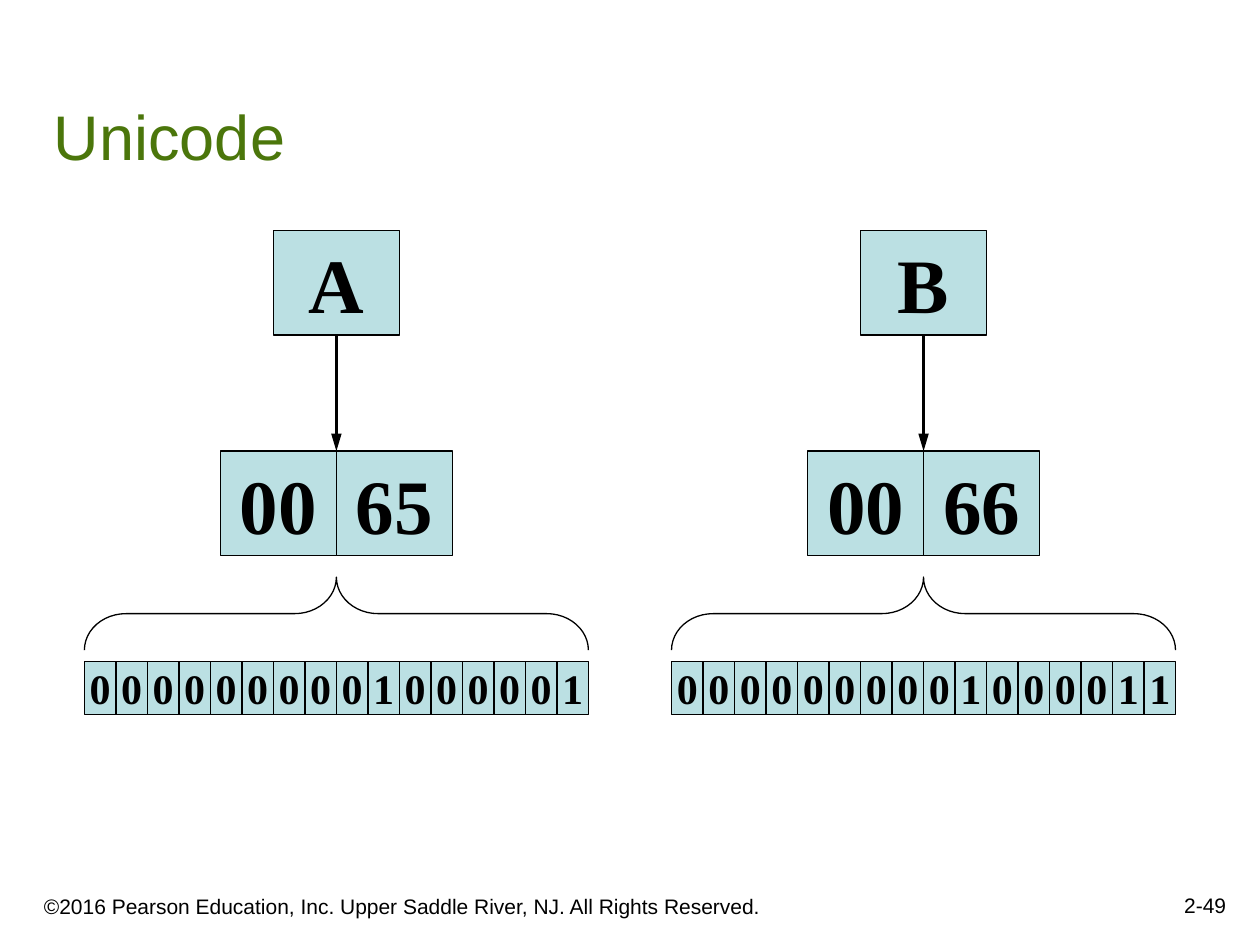
from dataclasses import dataclass

import lxml.etree
import pptx
import pptx.dml.color
import pptx.enum.shapes
import pptx.enum.text
import pptx.oxml.ns
import pptx.util

Inches = pptx.util.Inches
Pt = pptx.util.Pt
SHAPE = pptx.enum.shapes.MSO_SHAPE
ALIGN = pptx.enum.text.PP_ALIGN
ANCHOR = pptx.enum.text.MSO_ANCHOR

COLORS = {"box": "BBE0E3", "ink": "000000", "title": "4B760B"}

# Row positions shared by both encodings
CHAR_TOP, CHAR_W = 1.83, 1.0
BYTE_TOP, BYTE_W = 3.58, 0.92
BOX_H = 0.83
BRACE_TOP, BRACE_H, BRACE_W = 4.58, 0.58, 4.0
BIT_TOP, BIT_W, BIT_H = 5.25, 0.25, 0.42


@dataclass
class Encoding:
    center: float
    char: str
    code_bytes: tuple[str, ...]
    bits: str


@dataclass
class Label:
    text: str
    left: float
    top: float
    width: float
    height: float
    size: int
    color: str
    align: ALIGN


ENCODINGS = [
    Encoding(2.67, "A", ("00", "65"), "0000000001000001"),
    Encoding(7.33, "B", ("00", "66"), "0000000001000011"),
]
LABELS = [
    Label("©2016 Pearson Education, Inc. Upper Saddle River, NJ. All Rights Reserved.",
          0.25, 6.92, 6.08, 0.42, 12, "ink", ALIGN.LEFT),
    Label("2-49", 7.75, 6.83, 2.08, 0.5, 12, "ink", ALIGN.RIGHT),
    Label("Unicode", 0.33, 0.33, 9.42, 1.09, 36, "title", ALIGN.LEFT),
]


def rgb(name: str) -> pptx.dml.color.RGBColor:
    return pptx.dml.color.RGBColor.from_string(COLORS[name])


def set_text(sp, text: str, font: str, size: int, color: str, align: ALIGN,
             anchor: ANCHOR, wrap: bool, bold: bool = False) -> None:
    tf = sp.text_frame
    tf.text = text
    tf.word_wrap = wrap
    tf.vertical_anchor = anchor
    p = tf.paragraphs[0]
    p.alignment = align
    r = p.runs[0]
    r.font.name, r.font.size, r.font.bold = font, Pt(size), bold
    r.font.color.rgb = rgb(color)


def add_label(s, label: Label) -> None:
    sp = s.shapes.add_textbox(Inches(label.left), Inches(label.top),
                              Inches(label.width), Inches(label.height))
    set_text(sp, label.text, "Arial", label.size, label.color, label.align,
             ANCHOR.BOTTOM, wrap=True)


def add_box(s, text: str, left: float, top: float, width: float, height: float, size: int):
    sp = s.shapes.add_shape(SHAPE.RECTANGLE, Inches(left), Inches(top),
                            Inches(width), Inches(height))
    sp.shadow.inherit = False
    sp.fill.solid()
    sp.fill.fore_color.rgb = rgb("box")
    sp.line.color.rgb = rgb("ink")
    sp.line.width = Pt(0.75)
    set_text(sp, text, "Times New Roman", size, "ink", ALIGN.CENTER,
             ANCHOR.MIDDLE, wrap=False, bold=True)
    return sp


def add_row(s, texts, center: float, top: float, width: float, height: float, size: int) -> None:
    """Adjoining boxes, centred as a row."""
    left = center - len(texts) * width / 2
    for i, text in enumerate(texts):
        add_box(s, text, left + i * width, top, width, height, size)


def add_arrow(s, char_box, center: float) -> None:
    line = s.shapes.add_connector(pptx.enum.shapes.MSO_CONNECTOR.STRAIGHT,
                                  Inches(center), Inches(CHAR_TOP + BOX_H),
                                  Inches(center), Inches(BYTE_TOP))
    line.begin_connect(char_box, 2)
    line.line.color.rgb = rgb("ink")
    line.line.width = Pt(1.5)
    qn = pptx.oxml.ns.qn
    lxml.etree.SubElement(line.line._get_or_add_ln(), qn("a:tailEnd"),
                          type="triangle", w="med", len="lg")
    lxml.etree.SubElement(line._element.spPr, qn("a:effectLst"))


def add_brace(s, center: float) -> None:
    # The upright brace is turned so that its tip points up
    middle = BRACE_TOP + BRACE_H / 2
    sp = s.shapes.add_shape(SHAPE.RIGHT_BRACE, Inches(center - BRACE_H / 2),
                            Inches(middle - BRACE_W / 2), Inches(BRACE_H), Inches(BRACE_W))
    sp.rotation = 270
    sp.adjustments[0] = 0.57
    sp.shadow.inherit = False
    sp.fill.background()
    sp.line.color.rgb = rgb("ink")
    sp.line.width = Pt(0.75)


def add_encoding(s, enc: Encoding) -> None:
    char_box = add_box(s, enc.char, enc.center - CHAR_W / 2, CHAR_TOP, CHAR_W, BOX_H, 44)
    add_row(s, enc.code_bytes, enc.center, BYTE_TOP, BYTE_W, BOX_H, 44)
    add_arrow(s, char_box, enc.center)
    add_row(s, enc.bits, enc.center, BIT_TOP, BIT_W, BIT_H, 24)
    add_brace(s, enc.center)


def main() -> None:
    prs = pptx.Presentation()
    prs.slide_width, prs.slide_height = Inches(10), Inches(7.5)
    s = prs.slides.add_slide(prs.slide_layouts[6])

    # Footer, page number and title
    for label in LABELS:
        add_label(s, label)

    # Character, bytes and bits for each letter
    for enc in ENCODINGS:
        add_encoding(s, enc)

    prs.save("out.pptx")


if __name__ == "__main__":
    main()
